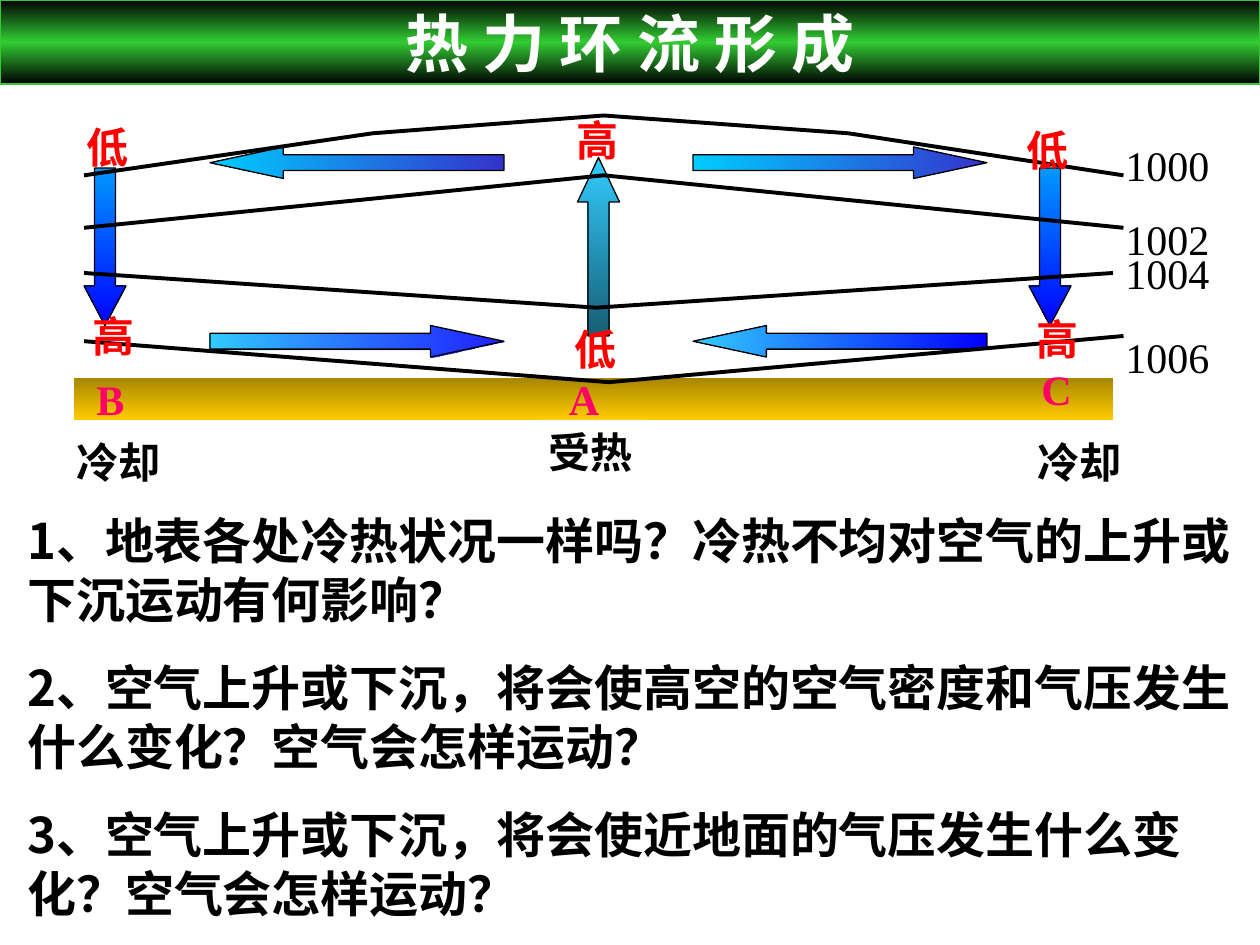
import pptx
import pptx.util
import pptx.dml.color
import pptx.enum.shapes
import pptx.enum.text
import pptx.oxml.ns
import lxml.etree

RGB = pptx.dml.color.RGBColor
KIND = pptx.enum.shapes.MSO_SHAPE
ALIGN = pptx.enum.text.PP_ALIGN
FIT = pptx.enum.text.MSO_AUTO_SIZE
ANCHOR = pptx.enum.text.MSO_ANCHOR
Pt = pptx.util.Pt
qn = pptx.oxml.ns.qn

BLACK = RGB(0x00, 0x00, 0x00)
WHITE = RGB(0xFF, 0xFF, 0xFF)
RED = RGB(0xFF, 0x00, 0x00)
PINK = RGB(0xFF, 0x00, 0x66)
GREEN = RGB(0x33, 0xCC, 0x33)
BROWN = RGB(0xA8, 0x86, 0x00)
GOLD = RGB(0xFF, 0xCC, 0x00)
SKY = RGB(0x33, 0xCC, 0xFF)
TEAL = RGB(0x17, 0x5E, 0x75)
AZURE = RGB(0x00, 0x99, 0xFF)
BLUE = RGB(0x00, 0x00, 0xFF)
NAVY = RGB(0x33, 0x33, 0xCC)
CYAN = RGB(0x00, 0xCC, 0xFF)

COLS, ROWS = 120, 90
DOWN, LEFT = 270, 180
SERIF, SANS = "Times New Roman", "Noto Sans CJK SC"


class Deck:
    def __init__(self):
        self.file = pptx.Presentation()
        self.file.slide_width = pptx.util.Inches(10)
        self.file.slide_height = pptx.util.Inches(7.5)
        self.slide = self.file.slides.add_slide(self.file.slide_layouts[1])

    def pos(self, x, y):
        return (round(self.file.slide_width * x / COLS),
                round(self.file.slide_height * y / ROWS))

    def box(self, x, y, w, h):
        return self.pos(x, y) + self.pos(w, h)

    def place(self, shape, x, y, w, h):
        shape.left, shape.top, shape.width, shape.height = self.box(x, y, w, h)

    def style(self, para, size, color, bold=True, face=SERIF):
        font = para.font
        font.name, font.size, font.bold = face, Pt(size), bold
        font.color.rgb = color

    def edge(self, shape, color=BLACK, width=0.75):
        shape.line.color.rgb = color
        shape.line.width = Pt(width)

    def blend(self, shape, colors, angle, alpha=100):
        shape.fill.gradient()
        shape.fill.gradient_angle = angle
        stops = shape._element.spPr.find(".//" + qn("a:gsLst"))
        for old in list(stops):
            stops.remove(old)
        for i, color in enumerate(colors):
            stop = lxml.etree.SubElement(stops, qn("a:gs"))
            stop.set("pos", str(100000 * i // (len(colors) - 1)))
            tint = lxml.etree.SubElement(stop, qn("a:srgbClr"), val=str(color))
            if i == 0 and alpha < 100:
                lxml.etree.SubElement(tint, qn("a:alpha"), val=str(alpha * 1000))

    def title(self, text, area):
        shape = self.slide.shapes.title
        self.place(shape, *area)
        self.blend(shape, (BLACK, GREEN, BLACK), DOWN)
        self.edge(shape, GREEN)
        frame = shape.text_frame
        frame.text = text
        frame.auto_size = FIT.NONE
        frame.vertical_anchor = ANCHOR.MIDDLE
        frame.paragraphs[0].alignment = ALIGN.CENTER
        self.style(frame.paragraphs[0], 36, WHITE)

    def body(self, items, area):
        shape = self.slide.placeholders[1]
        self.place(shape, *area)
        frame = shape.text_frame
        frame.text = "\n".join(items)
        frame.auto_size = FIT.NONE
        for i, para in enumerate(frame.paragraphs):
            props = para._p.get_or_add_pPr()
            for key in ("marL", "indent", "hangingPunct"):
                props.set(key, "0")
            lxml.etree.SubElement(props, qn("a:buNone"))
            para.space_before = Pt(16.8 if i else 0)
            self.style(para, 28, BLACK, face=SANS)

    def label(self, text, area, color=BLACK, bold=True, wrap=False, fill=None):
        shape = self.slide.shapes.add_textbox(*self.box(*area))
        if fill is not None:
            shape.fill.solid()
            shape.fill.fore_color.rgb = fill
        frame = shape.text_frame
        frame.word_wrap = wrap
        frame.text = text
        self.style(frame.paragraphs[0], 24, color, bold)

    def block(self, kind, area, colors, angle, head=None, alpha=100):
        shape = self.slide.shapes.add_shape(kind, *self.box(*area))
        shape.shadow.inherit = False
        self.blend(shape, colors, angle, alpha)
        if head is None:
            shape.line.fill.background()
        else:
            shape.adjustments[0], shape.adjustments[1] = 0.5, head
            self.edge(shape)

    def curve(self, points):
        dots = [self.pos(*point) for point in points]
        pen = self.slide.shapes.build_freeform(*dots[0])
        pen.add_line_segments(dots[1:], close=False)
        shape = pen.convert_to_shape()
        shape.shadow.inherit = False
        shape.fill.background()
        self.edge(shape, width=2.25)


def main():
    deck = Deck()
    deck.title("热 力 环 流 形 成", (0, 0, 120, 8))
    deck.body([
        "1、地表各处冷热状况一样吗？冷热不均对空气的上升或下沉运动有何影响？",
        "2、空气上升或下沉，将会使高空的空气密度和气压发生什么变化？空气会怎样运动？",
        "3、空气上升或下沉，将会使近地面的气压发生什么变化？空气会怎样运动？",
    ], (1.4, 48, 118.6, 40.5))

    deck.block(KIND.RECTANGLE, (7, 36, 99, 4), (BROWN, GOLD), DOWN)
    for text, x, y in (("受热", 51.1, 40), ("冷却", 6.1, 41), ("冷却", 97.6, 41)):
        deck.label(text, (x, y, 10.4, 6), fill=WHITE)

    deck.block(KIND.UP_ARROW, (55, 15, 4, 17), (SKY, TEAL), DOWN, 1.06)
    for x in (8, 98):
        deck.block(KIND.DOWN_ARROW, (x, 16, 4, 15), (AZURE, BLUE), DOWN, 0.94)
    for kind, x, y, colors, alpha in (
        (KIND.RIGHT_ARROW, 66, 14, (NAVY, CYAN), 100),
        (KIND.LEFT_ARROW, 20, 14, (NAVY, CYAN), 100),
        (KIND.LEFT_ARROW, 66, 31, (BLUE, SKY), 100),
        (KIND.RIGHT_ARROW, 20, 31, (BLUE, SKY), 87),
    ):
        deck.block(kind, (x, y, 28, 3), colors, LEFT, 2.33, alpha)

    for text, x, y in (("B", 8, 35), ("C", 98, 34), ("A", 53, 35)):
        deck.label(text, (x, y, 6, 6), PINK, wrap=True)

    for points in (
        ((8, 16.7), (35.5, 12.7), (57.5, 11), (80.8, 12.7), (107, 16.7)),
        ((8, 21.7), (57.5, 16.7), (107, 21.7)),
        ((8, 26), (56.8, 29.3), (106, 26)),
        ((8, 32.5), (58, 36.4), (107, 32)),
    ):
        deck.curve(points)
    for text, y in (("1000", 12.7), ("1002", 19.7), ("1004", 23), ("1006", 31)):
        deck.label(text, (106, y, 12, 6), bold=False, wrap=True)

    for text, x, y in (
        ("低", 53.5, 30.2), ("高", 7.6, 29), ("高", 97.5, 29.3),
        ("高", 53.7, 10.3), ("低", 7.1, 11), ("低", 96.6, 11.3),
    ):
        deck.label(text, (x, y, 6.4, 6), RED)

    deck.file.save("out.pptx")


if __name__ == "__main__":
    main()
